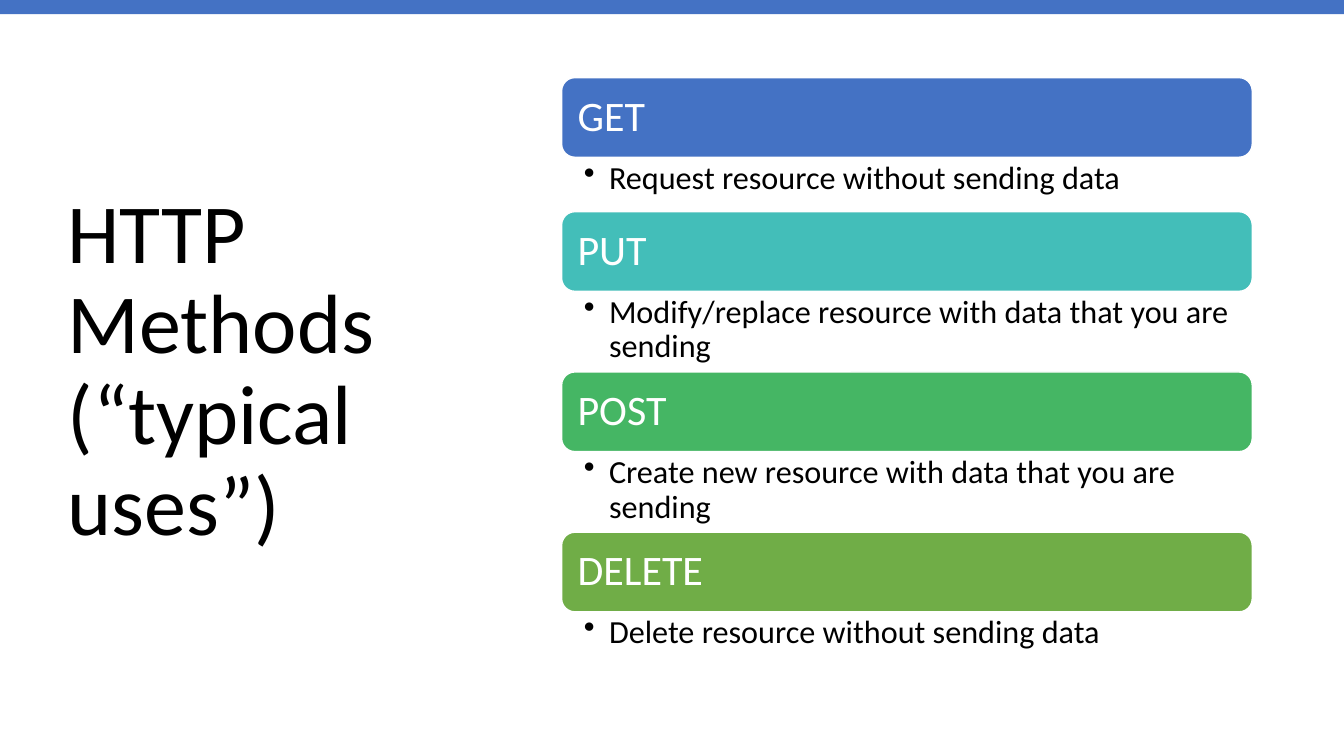
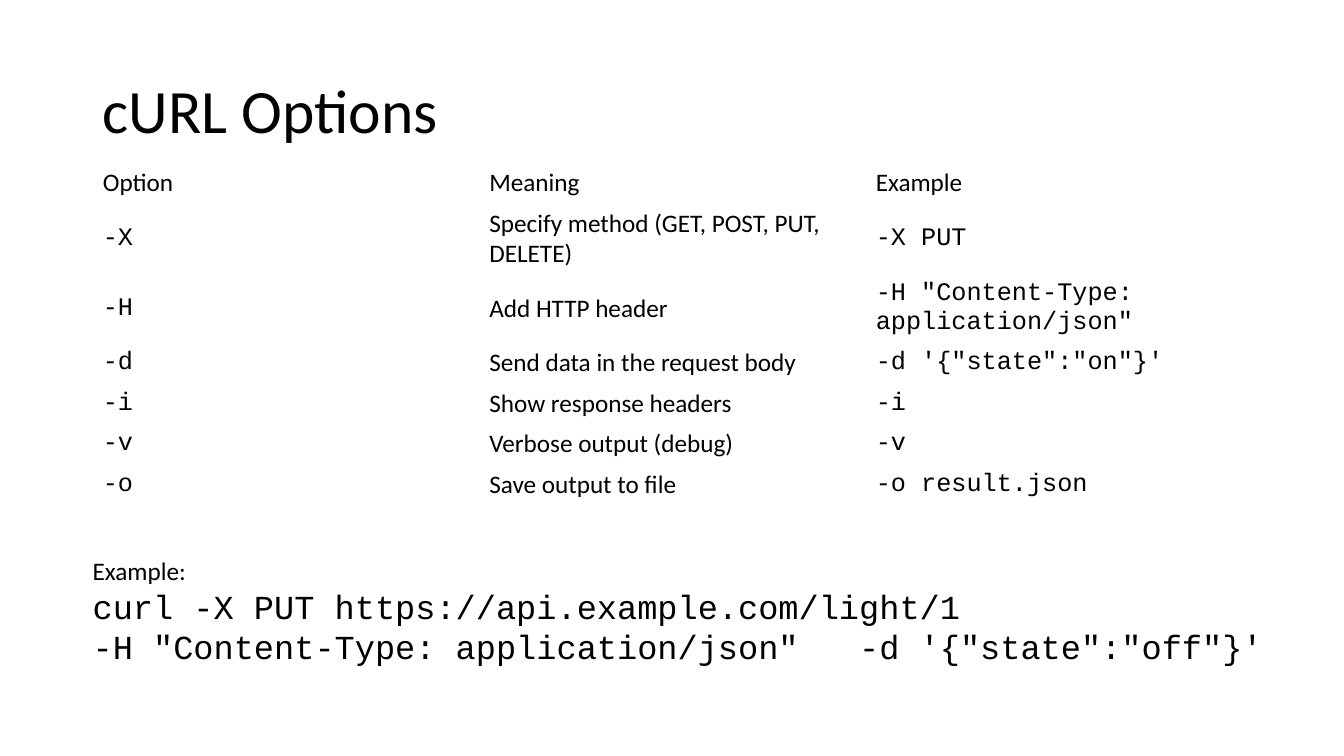
from dataclasses import dataclass

from pptx import Presentation
from pptx.dml.color import RGBColor
from pptx.enum.shapes import MSO_SHAPE as Shape
from pptx.enum.text import MSO_ANCHOR as Anchor, MSO_AUTO_SIZE as AutoSize, PP_ALIGN as Align
from pptx.oxml.ns import qn
from pptx.util import Inches, Pt
from lxml.etree import SubElement


@dataclass(frozen=True)
class Theme:
    text_font: str = "Calibri"
    code_font: str = "Courier New"
    black: str = "000000"
    white: str = "FFFFFF"
    accent: str = "4472C4"
    teal: str = "43BEB9"
    green: str = "45B664"
    olive: str = "70AD47"
    big_title: int = 60
    title: int = 44
    label: int = 30
    detail: int = 23
    code: int = 24
    body: int = 18
    tight: float = 0.9


@dataclass(frozen=True)
class Box:
    left: float
    top: float
    width: float
    height: float

    def inches(self):
        return [Inches(n) for n in (self.left, self.top, self.width, self.height)]


THEME = Theme()
PAGE = Box(0, 0, 13.33, 7.5)
TITLE_ONLY = 5

# Method, typical use, bar colour, height of the text below the bar
METHODS = [
    ("GET", "Request resource without sending data", THEME.accent, 0.54),
    ("PUT", "Modify/replace resource with data that you are sending", THEME.teal, 0.8),
    ("POST", "Create new resource with data that you are sending", THEME.green, 0.8),
    ("DELETE", "Delete resource without sending data", THEME.olive, 0.54),
]

OPTIONS = [
    ("Option", "Meaning", "Example"),
    ("-X", "Specify method (GET, POST, PUT, DELETE)", "-X PUT"),
    ("-H", "Add HTTP header", '-H "Content-Type: application/json"'),
    ("-d", "Send data in the request body", "-d '{\"state\":\"on\"}'"),
    ("-i", "Show response headers", "-i"),
    ("-v", "Verbose output (debug)", "-v"),
    ("-o", "Save output to file", "-o result.json"),
]

CURL_COMMAND = (
    "curl -X PUT https://api.example.com/light/1\v"
    '-H "Content-Type: application/json"   -d \'{"state":"off"}\''
)


def write(para, text, size, color=THEME.black, font=THEME.text_font, spacing=1.0):
    para.text = text
    para.alignment = Align.LEFT
    para.line_spacing = spacing
    for span in para.runs:
        span.font.name = font
        span.font.size = Pt(size)
        span.font.color.rgb = RGBColor.from_string(color)


def set_insets(frame, side, edge):
    frame.margin_left = frame.margin_right = Inches(side)
    frame.margin_top = frame.margin_bottom = Inches(edge)


def add_bullet(para):
    props = para._p.get_or_add_pPr()
    props.set("marL", str(Inches(0.25)))
    props.set("indent", str(-Inches(0.25)))
    SubElement(props, qn("a:buChar")).set("char", "•")


def add_filled_shape(page, kind, box, color):
    shape = page.shapes.add_shape(kind, *box.inches())
    shape.shadow.inherit = False
    shape.fill.solid()
    shape.fill.fore_color.rgb = RGBColor.from_string(color)
    shape.line.fill.background()
    return shape


def add_text_box(page, box):
    frame = page.shapes.add_textbox(*box.inches()).text_frame
    frame.word_wrap = True
    return frame


def add_titled_page(deck, text, box, size):
    page = deck.slides.add_slide(deck.slide_layouts[TITLE_ONLY])
    title = page.shapes.title
    title.left, title.top, title.width, title.height = box.inches()
    frame = title.text_frame
    frame.auto_size = AutoSize.NONE
    frame.vertical_anchor = Anchor.MIDDLE
    write(frame.paragraphs[0], text, size, spacing=THEME.tight)
    return page


def add_method_stack(page, box):
    """Stack a coloured bar and its bulleted text for each method."""
    bar_height = 0.79
    top = box.top
    for method, use, color, text_height in METHODS:
        bar_box = Box(box.left, top, box.width, bar_height)
        bar = add_filled_shape(page, Shape.ROUNDED_RECTANGLE, bar_box, color)
        bar.line.color.rgb = RGBColor.from_string(THEME.white)
        bar.line.width = Pt(1)
        frame = bar.text_frame
        frame.vertical_anchor = Anchor.MIDDLE
        set_insets(frame, 0.12, 0.12)
        write(frame.paragraphs[0], method, THEME.label, THEME.white, spacing=THEME.tight)

        top += bar_height
        detail = add_text_box(page, Box(box.left, top, box.width, text_height))
        set_insets(detail, 0.22, 0.04)
        add_bullet(detail.paragraphs[0])
        write(detail.paragraphs[0], use, THEME.detail, spacing=THEME.tight)
        top += text_height


def add_options_table(page, box):
    table = page.shapes.add_table(len(OPTIONS), len(OPTIONS[0]), *box.inches()).table
    table.first_row = table.horz_banding = False
    for row, texts in enumerate(OPTIONS):
        for column, text in enumerate(texts):
            cell = table.cell(row, column)
            cell.fill.background()
            cell.vertical_anchor = Anchor.MIDDLE
            is_code = row > 0 and column != 1
            font = THEME.code_font if is_code else THEME.text_font
            write(cell.text_frame.paragraphs[0], text, THEME.body, font=font)


def add_example(page, box):
    frame = add_text_box(page, box)
    write(frame.paragraphs[0], "Example:", THEME.body)
    write(frame.add_paragraph(), CURL_COMMAND, THEME.code, font=THEME.code_font)


def build_methods_page(deck):
    title_box = Box(0.57, 0.68, 4.16, 6.02)
    page = add_titled_page(deck, "HTTP Methods\v(“typical uses”)", title_box, THEME.big_title)
    add_filled_shape(page, Shape.RECTANGLE, Box(0, 0, PAGE.width, 0.14), THEME.accent)
    add_method_stack(page, Box(5.57, 0.77, 6.85, 5.83))


def build_options_page(deck):
    page = add_titled_page(deck, "cURL Options", Box(0.92, 0.4, 11.5, 1.45), THEME.title)
    add_options_table(page, Box(0.92, 1.61, 11.5, 2.8))
    add_example(page, Box(0.82, 5.46, 12.22, 1.21))


def main():
    deck = Presentation()
    deck.slide_width, deck.slide_height = Inches(PAGE.width), Inches(PAGE.height)
    build_methods_page(deck)
    build_options_page(deck)
    deck.save("out.pptx")


if __name__ == "__main__":
    main()
